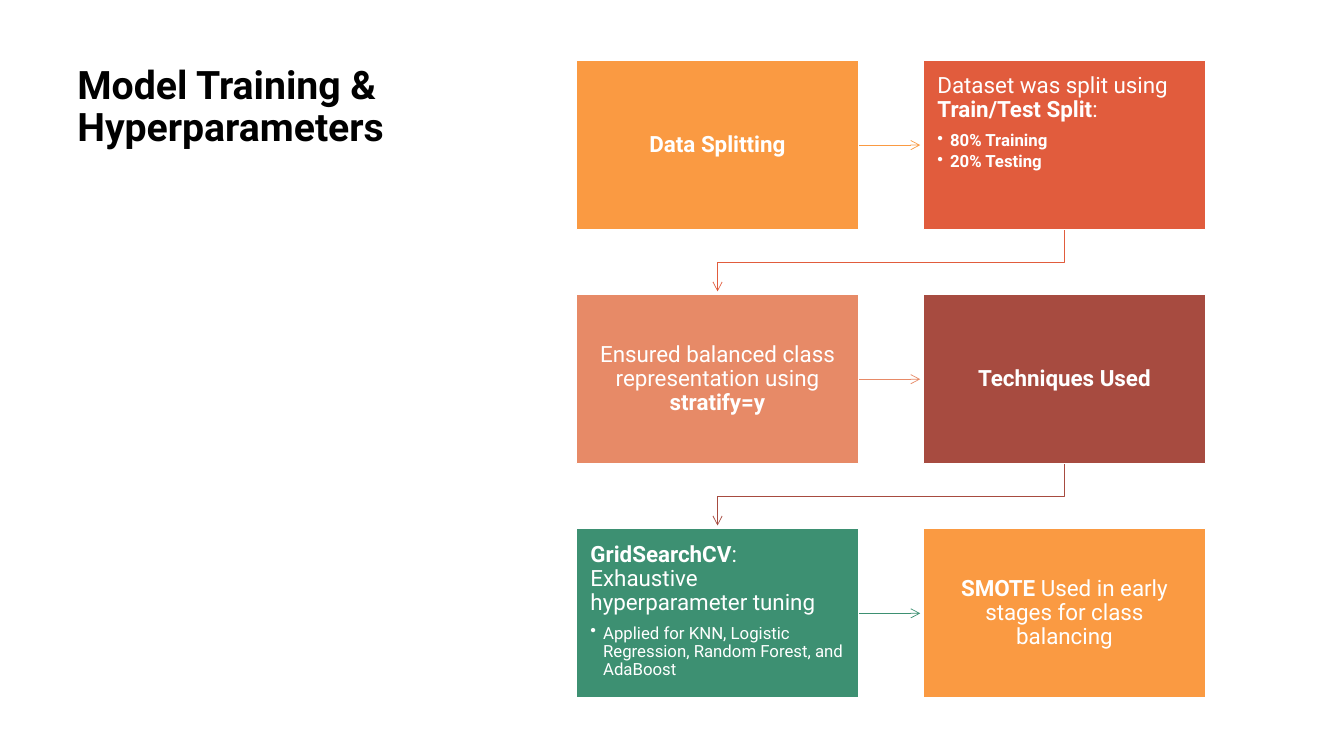
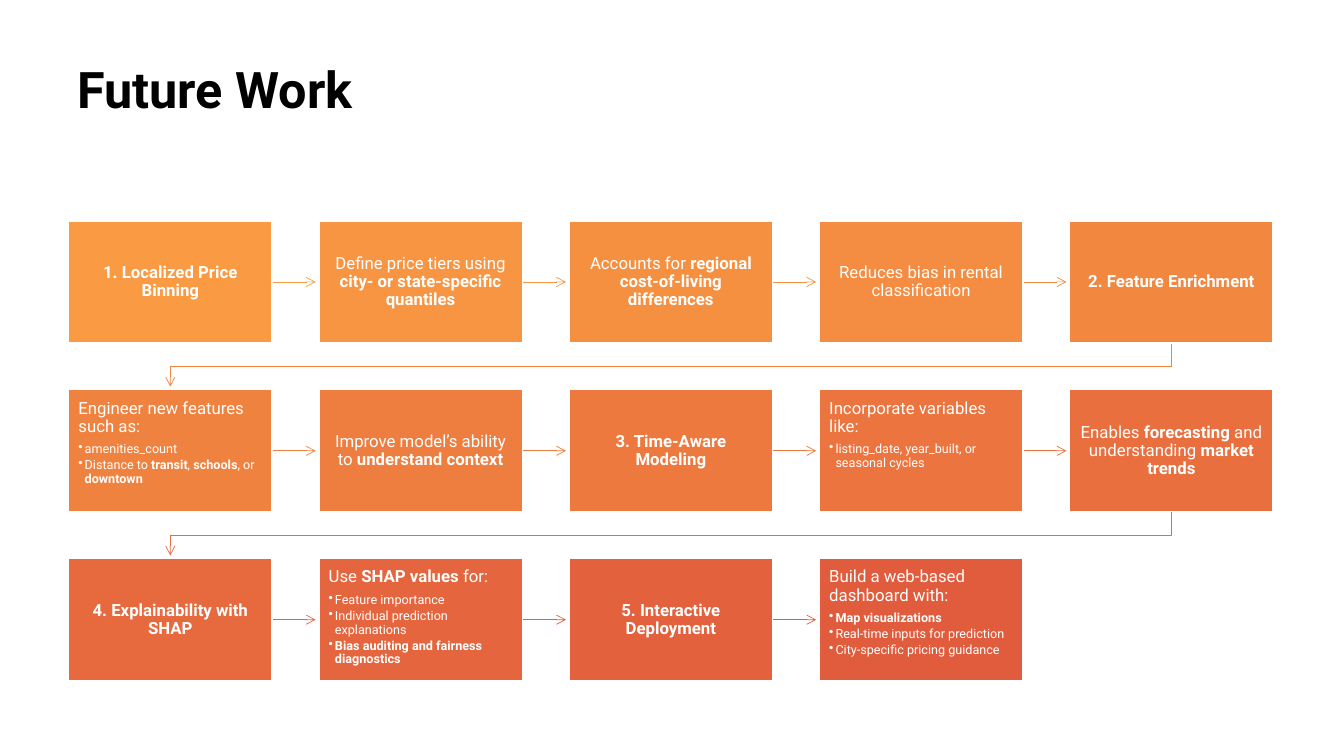
import pptx
import pptx.dml.color
import pptx.enum.shapes
import pptx.enum.text
import pptx.oxml.ns
import pptx.util
from lxml import etree

Pt = pptx.util.Pt
RGBColor = pptx.dml.color.RGBColor
ALIGN = pptx.enum.text.PP_ALIGN
ANCHOR = pptx.enum.text.MSO_ANCHOR
qn = pptx.oxml.ns.qn

# Shared style
FONT = "Roboto"
BLACK = RGBColor(0x00, 0x00, 0x00)
WHITE = RGBColor(0xFF, 0xFF, 0xFF)
ORANGE = RGBColor(0xFA, 0x9A, 0x42)
RED = RGBColor(0xE1, 0x5C, 0x3D)
CORAL = RGBColor(0xE7, 0x8A, 0x67)
BRICK = RGBColor(0xA7, 0x4B, 0x40)
GREEN = RGBColor(0x3D, 0x90, 0x72)

LINE_SPACING = 0.9
GAP_RATIO = 0.23    # gap between steps, relative to step width
HEIGHT_RATIO = 0.6  # step height, relative to step width
ARROW_CLEARANCE = 2.3

# Content: (statement, bullets); ** marks bold text
TRAINING_STEPS = [
    ("**Data Splitting**", []),
    ("Dataset was split using **Train/Test Split**:",
     ["**80% Training**", "**20% Testing**"]),
    ("Ensured balanced class representation using **stratify=y**", []),
    ("**Techniques Used**", []),
    ("**GridSearchCV**: Exhaustive hyperparameter tuning",
     ["Applied for KNN, Logistic Regression, Random Forest, and AdaBoost"]),
    ("**SMOTE** Used in early stages for class balancing", []),
]
TRAINING_COLOURS = [ORANGE, RED, CORAL, BRICK, GREEN, ORANGE]

FUTURE_STEPS = [
    ("**1. Localized Price Binning**", []),
    ("Define price tiers using **city- or state-specific quantiles**", []),
    ("Accounts for **regional cost-of-living differences**", []),
    ("Reduces bias in rental classification", []),
    ("**2. Feature Enrichment**", []),
    ("Engineer new features such as:",
     ["amenities_count",
      "Distance to **transit**, **schools**, or **downtown**"]),
    ("Improve model’s ability to **understand context**", []),
    ("**3. Time-Aware Modeling**", []),
    ("Incorporate variables like:",
     ["listing_date, year_built, or seasonal cycles"]),
    ("Enables **forecasting** and understanding **market trends**", []),
    ("**4. Explainability with SHAP**", []),
    ("Use **SHAP values** for:",
     ["Feature importance", "Individual prediction explanations",
      "**Bias auditing and fairness diagnostics**"]),
    ("**5. Interactive Deployment**", []),
    ("Build a web-based dashboard with:",
     ["**Map visualizations**", "Real-time inputs for prediction",
      "City-specific pricing guidance"]),
]


def blend(start, end, count):
    """Return count colours in even steps from start to end."""
    return [RGBColor(*(round(a + (b - a) * i / (count - 1))
                       for a, b in zip(start, end)))
            for i in range(count)]


def add_runs(paragraph, text, size, colour):
    paragraph.line_spacing = LINE_SPACING
    for i, part in enumerate(text.split("**")):
        if part:
            run = paragraph.add_run()
            run.text = part
            run.font.name = FONT
            run.font.size = Pt(size)
            run.font.bold = i % 2 == 1
            run.font.color.rgb = colour


def add_bullet(paragraph, indent):
    properties = paragraph._p.get_or_add_pPr()
    properties.set("marL", str(Pt(indent)))
    properties.set("indent", str(-Pt(indent)))
    etree.SubElement(properties, qn("a:buChar")).set("char", "•")


def draw_title(slide, box, text, size):
    frame = slide.shapes.add_textbox(*map(Pt, box)).text_frame
    frame.word_wrap = True
    add_runs(frame.paragraphs[0], f"**{text}**", size, BLACK)


def draw_step(slide, box, step, colour, style):
    statement, bullets = step
    card = slide.shapes.add_shape(
        pptx.enum.shapes.MSO_SHAPE.RECTANGLE, *map(Pt, box))
    card.shadow.inherit = False
    card.fill.solid()
    card.fill.fore_color.rgb = colour
    card.line.color.rgb = WHITE
    card.line.width = Pt(1)

    frame = card.text_frame
    frame.word_wrap = True
    frame.margin_left = frame.margin_right = Pt(style["inset"])
    frame.margin_top = frame.margin_bottom = Pt(style["inset"])
    frame.vertical_anchor = ANCHOR.TOP if bullets else ANCHOR.MIDDLE

    lead = frame.paragraphs[0]
    lead.alignment = ALIGN.LEFT if bullets else ALIGN.CENTER
    lead.space_after = Pt(0.42 * style["size"])
    add_runs(lead, statement, style["size"], WHITE)
    for bullet in bullets:
        item = frame.add_paragraph()
        item.alignment = ALIGN.LEFT
        item.space_after = Pt(0.18 * style["bullet_size"])
        add_bullet(item, style["indent"])
        add_runs(item, bullet, style["bullet_size"], WHITE)


def draw_arrow(slide, points, colour):
    """Draw a straight connector, or a bent one through more points."""
    points = [(Pt(x), Pt(y)) for x, y in points]
    if len(points) == 2:
        arrow = slide.shapes.add_connector(
            pptx.enum.shapes.MSO_CONNECTOR.STRAIGHT, *points[0], *points[1])
    else:
        outline = slide.shapes.build_freeform(*points[0])
        outline.add_line_segments(points[1:], close=False)
        arrow = outline.convert_to_shape()
        arrow.fill.background()
    arrow.line.color.rgb = colour
    arrow.line.width = Pt(0.5)
    properties = arrow._element.spPr
    head = etree.SubElement(properties.find(qn("a:ln")), qn("a:tailEnd"))
    head.set("type", "arrow")
    etree.SubElement(properties, qn("a:effectLst"))


def draw_flow(slide, box, columns, steps, colours, arrow_colours, style):
    """Fill the box (left, top, width) row by row with linked steps."""
    left, top, total = box
    width = total / (columns + GAP_RATIO * (columns - 1))
    height = HEIGHT_RATIO * width
    gap = GAP_RATIO * width
    for i, step in enumerate(steps):
        row, column = divmod(i, columns)
        x = left + column * (width + gap)
        y = top + row * (height + gap)
        # Arrow to the next step, behind the card
        if i < len(steps) - 1:
            if column < columns - 1:
                middle = y + height / 2
                route = [(x + width, middle),
                         (x + width + gap - ARROW_CLEARANCE, middle)]
            else:
                start, end = x + width / 2, left + width / 2
                bottom = y + height
                route = [(start, bottom), (start, bottom + gap / 2),
                         (end, bottom + gap / 2),
                         (end, bottom + gap - ARROW_CLEARANCE)]
            draw_arrow(slide, route, arrow_colours[i])
        draw_step(slide, (x, y, width, height), step, colours[i], style)


def build_training_slide(slide):
    draw_title(slide, (48.2, 43.2, 275, 455.8),
               "Model Training & Hyperparameters", 28)
    style = dict(size=16, bullet_size=12, inset=10, indent=9)
    draw_flow(slide, (411.8, 43.2, 449.3), 2, TRAINING_STEPS,
              TRAINING_COLOURS, TRAINING_COLOURS, style)


def build_future_slide(slide):
    draw_title(slide, (48.2, 43.2, 861.8, 89.3), "Future Work", 36)
    style = dict(size=12, bullet_size=9, inset=7, indent=4.5)
    count = len(FUTURE_STEPS)
    draw_flow(slide, (49, 157.8, 860.4), 5, FUTURE_STEPS,
              blend(ORANGE, RED, count), blend(ORANGE, RED, count - 1), style)


def main():
    deck = pptx.Presentation()
    deck.slide_width, deck.slide_height = Pt(960), Pt(540)
    blank = deck.slide_layouts[6]
    for build in (build_training_slide, build_future_slide):
        build(deck.slides.add_slide(blank))
    deck.save("out.pptx")


if __name__ == "__main__":
    main()
